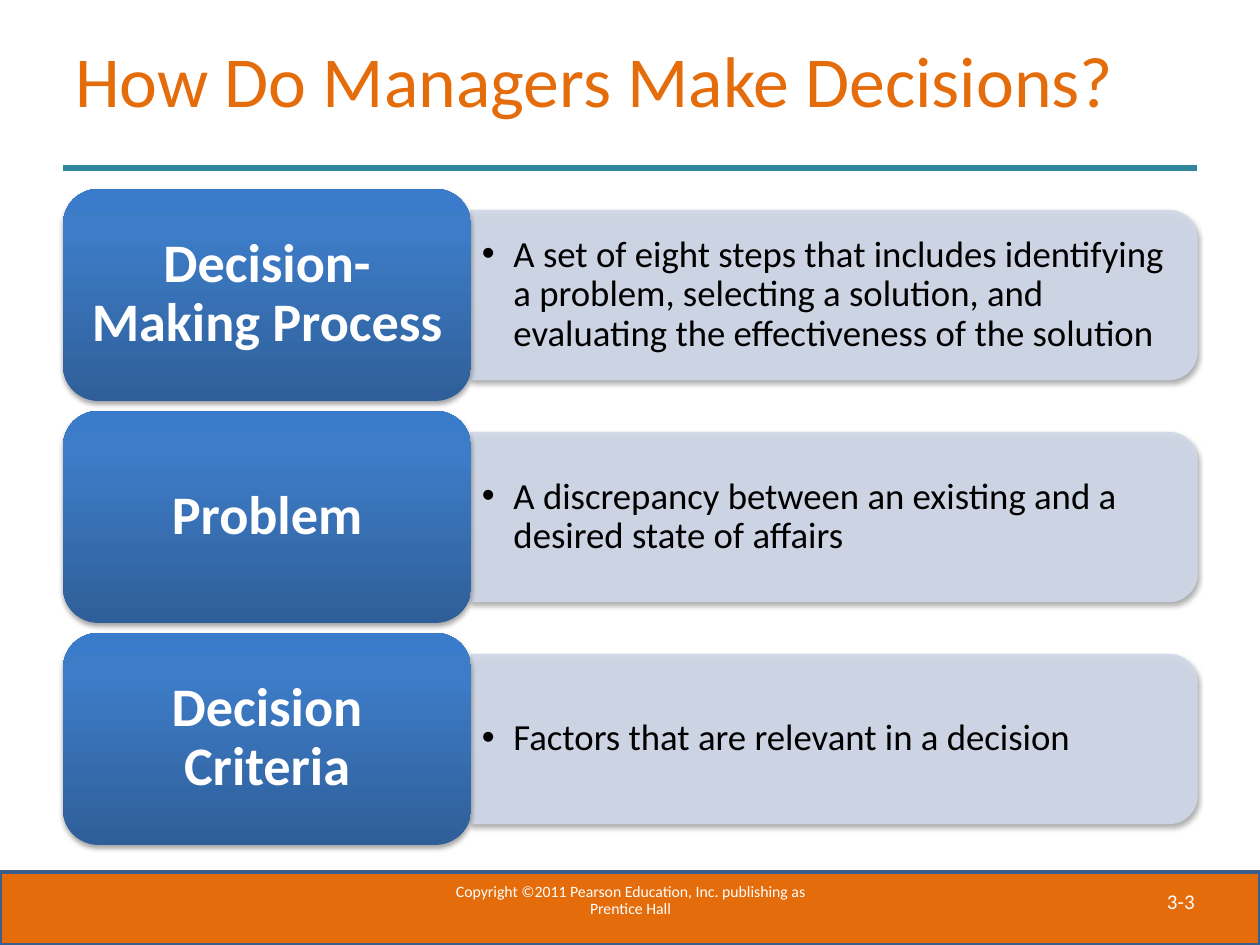
import copy

from lxml import etree
from pptx import Presentation
from pptx import util as u
from pptx.dml.color import RGBColor
from pptx.enum import shapes, text
from pptx.oxml import ns

SCALE = 914400 / 126  # EMU in one px
COLORS = {
    "orange": "E46C0A", "footer_edge": "3A5F8C", "teal": "31859C",
    "panel": "D0D8E8", "white": "FFFFFF", "black": "000000",
}
LABEL_GRADIENT = [(0, "2F5F99"), (0.8, "3D7CC7"), (1, "3A7CCB")]
ROWS = [
    ("Decision-Making Process",
     "A set of eight steps that includes identifying a problem, selecting a "
     "solution, and evaluating the effectiveness of the solution"),
    ("Problem", "A discrepancy between an existing and a desired state of affairs"),
    ("Decision Criteria", "Factors that are relevant in a decision"),
]


def px(*lengths):
    return [u.Emu(round(length * SCALE)) for length in lengths]


def write(box, wording, size, color, align=None, inset=(12, 6), bold=False, spacing=None):
    frame = box.text_frame
    frame.word_wrap = True
    frame.auto_size = text.MSO_AUTO_SIZE.NONE
    frame.vertical_anchor = text.MSO_ANCHOR.MIDDLE
    frame.margin_left, frame.margin_top = px(*inset)
    frame.margin_right, frame.margin_bottom = px(*inset)
    para = frame.paragraphs[0]
    para.alignment = align
    para.line_spacing = spacing
    span = para.add_run()
    span.text = wording
    span.font.name = "Calibri"
    span.font.size = u.Pt(size)
    span.font.bold = bold
    span.font.color.rgb = RGBColor.from_string(COLORS[color])
    return para


deck = Presentation()
deck.slide_width, deck.slide_height = px(1260, 945)
page = deck.slides.add_slide(deck.slide_layouts[5])

# Footer band
band = page.shapes.add_shape(shapes.MSO_SHAPE.RECTANGLE, *px(0, 872, 1260, 73))
band.shadow.inherit = False
band.fill.solid()
band.fill.fore_color.rgb = RGBColor.from_string(COLORS["orange"])
band.line.color.rgb = RGBColor.from_string(COLORS["footer_edge"])
band.line.width = u.Pt(2)

# Rule under the title
rule = page.shapes.add_connector(shapes.MSO_CONNECTOR.STRAIGHT, *px(63, 168, 1197, 168))
rule.line.color.rgb = RGBColor.from_string(COLORS["teal"])
rule.line.width = u.Pt(3.5)
etree.SubElement(rule._element.spPr, ns.qn("a:effectLst"))

# Title, copyright line and page number
title = page.shapes.title
title.left, title.top, title.width, title.height = px(63, 0, 1134, 158)
write(title, "How Do Managers Make Decisions?", 41, "orange", text.PP_ALIGN.LEFT)

copyright_box = page.shapes.add_textbox(*px(431, 876, 399, 50))
write(copyright_box, "Copyright ©2011 Pearson Education, Inc. publishing as Prentice Hall",
      9, "white", text.PP_ALIGN.CENTER, spacing=0.9)

number_box = page.shapes.add_textbox(*px(1155, 882, 67, 38))
write(number_box, "3-3", 12, "white")
number_box.text_frame.word_wrap = False

# Rows: a definition panel on the right, a term label on the left
label_left, label_width, label_height = 63, 408, 212
panel_left, panel_width, panel_height = label_left + label_width, 726, 169
for row, (term, definition) in enumerate(ROWS):
    top = 189 + 222 * row
    middle = top + label_height / 2

    # The panel is turned so that its rounded side faces right
    panel = page.shapes.add_shape(
        shapes.MSO_SHAPE.ROUND_2_SAME_RECTANGLE,
        *px(panel_left + (panel_width - panel_height) / 2, middle - panel_width / 2,
            panel_height, panel_width))
    panel.rotation = 90
    panel.fill.solid()
    panel.fill.fore_color.rgb = RGBColor.from_string(COLORS["panel"])
    panel.line.color.rgb = RGBColor.from_string(COLORS["panel"])
    panel.line.width = u.Pt(0.75)
    for tint in panel._element.spPr.iter(ns.qn("a:srgbClr")):
        etree.SubElement(tint, ns.qn("a:alpha"), val="90000")

    definition_box = page.shapes.add_textbox(*px(panel_left, middle - 76, 717, 152))
    para = write(definition_box, definition, 21, "black", inset=(11, 5), spacing=0.9)
    props = para._p.get_or_add_pPr()
    props.set("marL", str(u.Inches(0.25)))
    props.set("indent", str(-u.Inches(0.25)))
    etree.SubElement(props, ns.qn("a:buFont"), typeface="Arial")
    etree.SubElement(props, ns.qn("a:buChar"), char="•")

    label = page.shapes.add_shape(shapes.MSO_SHAPE.ROUNDED_RECTANGLE,
                                  *px(label_left, top, label_width, label_height))
    label.line.fill.background()
    label.fill.gradient()
    label.fill.gradient_angle = 90
    stops = label._element.spPr.find(ns.qn("a:gradFill")).find(ns.qn("a:gsLst"))
    stops.append(copy.deepcopy(stops[-1]))
    for stop, (position, color) in zip(label.fill.gradient_stops, LABEL_GRADIENT):
        stop.position = position
        stop.color.rgb = RGBColor.from_string(color)

    term_box = page.shapes.add_textbox(*px(label_left + 10, top + 10, 388, 191))
    write(term_box, term, 31, "white", text.PP_ALIGN.CENTER, (16, 8), True, 0.9)

    # Soft shadow below both shapes
    for shape in (panel, label):
        shape.shadow.inherit = False
        effects = shape._element.spPr.find(ns.qn("a:effectLst"))
        shadow = etree.SubElement(
            effects, ns.qn("a:outerShdw"), blurRad=str(u.Pt(3.1)), dist=str(u.Pt(1.8)),
            dir="5400000", rotWithShape="0")
        shade = etree.SubElement(shadow, ns.qn("a:srgbClr"), val=COLORS["black"])
        etree.SubElement(shade, ns.qn("a:alpha"), val="35000")

deck.save("out.pptx")
